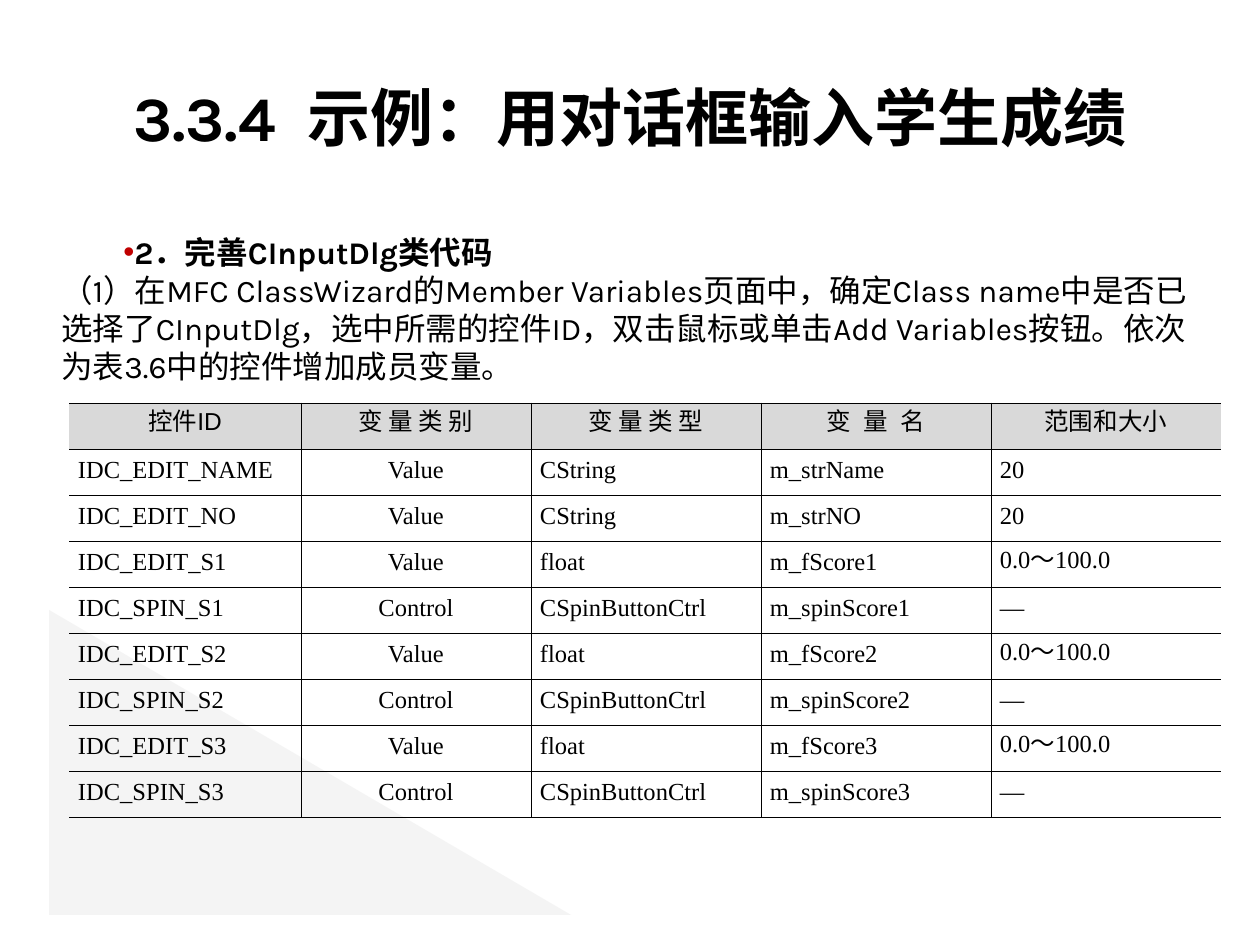
from lxml.etree import SubElement
from pptx import Presentation
from pptx.dml.color import RGBColor
from pptx.enum.shapes import MSO_SHAPE
from pptx.enum.text import MSO_ANCHOR, PP_ALIGN
from pptx.oxml import parse_xml
from pptx.oxml.ns import nsdecls, qn
from pptx.util import Emu, Pt

COLORS = {"text": "000000", "bullet": "C00000", "header": "D9D9D9", "triangle": "F2F2F2"}
FORMATS = {
    "title": {"name": "Karla", "size": Pt(36), "bold": True},
    "heading": {"name": "Karla", "size": Pt(18), "bold": True},
    "body": {"name": "Karla", "size": Pt(18), "bold": False},
    "header": {"name": "Arial", "size": Pt(14), "bold": False},
    "cell": {"name": "Times New Roman", "size": Pt(14), "bold": False},
}
HEADERS = ["控件ID", "变 量 类 别", "变 量 类 型", "变 量 名", "范围和大小"]
WIDE_GAPS = {"变 量 名": 4}
COLUMN_WIDTHS = [232, 230, 230, 230, 230]
COLUMN_ALIGNMENTS = [PP_ALIGN.JUSTIFY, PP_ALIGN.CENTER, PP_ALIGN.LEFT,
                     PP_ALIGN.JUSTIFY, PP_ALIGN.JUSTIFY]
ROW_HEIGHT = 46


def px(value):
    return Emu(round(value * 914400 / 126))


def variable_rows():
    rows = [[f"IDC_EDIT_{suffix}", "Value", "CString", f"m_str{name}", "20"]
            for suffix, name in (("NAME", "Name"), ("NO", "NO"))]
    for number in (1, 2, 3):
        rows.append([f"IDC_EDIT_S{number}", "Value", "float",
                     f"m_fScore{number}", "0.0～100.0"])
        rows.append([f"IDC_SPIN_S{number}", "Control", "CSpinButtonCtrl",
                     f"m_spinScore{number}", "—"])
    return rows


class SlideBuilder:
    def __init__(self, slide, colors, formats):
        self.slide = slide
        self.colors = colors
        self.formats = formats

    def color(self, name):
        return RGBColor.from_string(self.colors[name])

    def add_text(self, paragraph, text, style, alignment=PP_ALIGN.LEFT, gap=0):
        """Fill a paragraph; gap widens each space by that many points."""
        paragraph.alignment = alignment
        pieces = text.replace(" ", "\n \n").split("\n") if gap else [text]
        for piece in pieces:
            run = paragraph.add_run()
            run.text = piece
            for attribute, value in self.formats[style].items():
                setattr(run.font, attribute, value)
            run.font.color.rgb = self.color("text")
            if piece == " ":
                run.font._element.set("spc", str(gap * 100))

    def triangle(self, left, top, width, height, opacity):
        shape = self.slide.shapes.add_shape(
            MSO_SHAPE.RIGHT_TRIANGLE, px(left), px(top), px(width), px(height))
        shape.shadow.inherit = False
        shape.line.fill.background()
        shape.fill.solid()
        shape.fill.fore_color.rgb = self.color("triangle")
        color = shape.fill._xPr.find(qn("a:solidFill"))[0]
        SubElement(color, qn("a:alpha"), val=str(opacity * 1000))

    def text_box(self, left, top, width, height, anchor=MSO_ANCHOR.TOP):
        box = self.slide.shapes.add_textbox(px(left), px(top), px(width), px(height))
        box.text_frame.word_wrap = True
        box.text_frame.vertical_anchor = anchor
        return box.text_frame

    def bullet(self, paragraph, indent):
        properties = paragraph._p.get_or_add_pPr()
        properties.set("marL", "0")
        properties.set("indent", str(px(indent)))
        color = SubElement(properties, qn("a:buClr"))
        SubElement(color, qn("a:srgbClr"), val=self.colors["bullet"])
        SubElement(properties, qn("a:buFont"), typeface="Arial")
        SubElement(properties, qn("a:buChar"), char="•")

    def borders(self, cell, open_sides):
        properties = cell._tc.get_or_add_tcPr()
        for index, side in enumerate("LRTB"):
            fill = ("<a:noFill/>" if side in open_sides else
                    f'<a:solidFill><a:srgbClr val="{self.colors["text"]}"/></a:solidFill>')
            properties.insert(index, parse_xml(
                f'<a:ln{side} {nsdecls("a")} w="{Pt(0.45)}">{fill}</a:ln{side}>'))

    def cell(self, cell, text, style, alignment, open_sides):
        cell.vertical_anchor = MSO_ANCHOR.MIDDLE
        margins = {"margin_left": 9, "margin_right": 9, "margin_top": 6, "margin_bottom": 6}
        for attribute, value in margins.items():
            setattr(cell, attribute, px(value))
        if style == "header":
            cell.fill.solid()
            cell.fill.fore_color.rgb = self.color("header")
        else:
            cell.fill.background()
        self.borders(cell, open_sides)
        paragraph = cell.text_frame.paragraphs[0]
        paragraph.line_spacing = Pt(13)
        self.add_text(paragraph, text, style, alignment, WIDE_GAPS.get(text, 0))

    def table(self, left, top, rows):
        table = self.slide.shapes.add_table(
            len(rows), len(COLUMN_WIDTHS), px(left), px(top),
            px(sum(COLUMN_WIDTHS)), px(ROW_HEIGHT * len(rows))).table
        table.first_row = table.horz_banding = False
        for column, width in zip(table.columns, COLUMN_WIDTHS):
            column.width = px(width)
        open_sides = ["L", "", "", "", "R"]
        for row_index, values in enumerate(rows):
            table.rows[row_index].height = px(ROW_HEIGHT)
            for column_index, text in enumerate(values):
                is_header = row_index == 0
                alignment = PP_ALIGN.CENTER if is_header else COLUMN_ALIGNMENTS[column_index]
                self.cell(table.cell(row_index, column_index), text,
                          "header" if is_header else "cell",
                          alignment, open_sides[column_index])


def main():
    presentation = Presentation()
    presentation.slide_width, presentation.slide_height = px(1260), px(945)
    slide = presentation.slides.add_slide(presentation.slide_layouts[6])
    builder = SlideBuilder(slide, COLORS, FORMATS)

    builder.triangle(49, 610, 522, 305, opacity=83)
    title = builder.text_box(63, 38, 1134, 157, MSO_ANCHOR.MIDDLE)
    builder.add_text(title.paragraphs[0], "3.3.4 示例：用对话框输入学生成绩",
                     "title", PP_ALIGN.CENTER, gap=9)

    steps = builder.text_box(49, 227, 1152, 202)
    heading = steps.paragraphs[0]
    builder.bullet(heading, 62)
    builder.add_text(heading, "2．完善CInputDlg类代码", "heading")
    builder.add_text(
        steps.add_paragraph(),
        "（1）在MFC ClassWizard的Member Variables页面中，确定Class name中是否已选择了"
        "CInputDlg，选中所需的控件ID，双击鼠标或单击Add Variables按钮。"
        "依次为表3.6中的控件增加成员变量。", "body")

    builder.table(69, 403, [HEADERS] + variable_rows())
    presentation.save("out.pptx")


if __name__ == "__main__":
    main()
